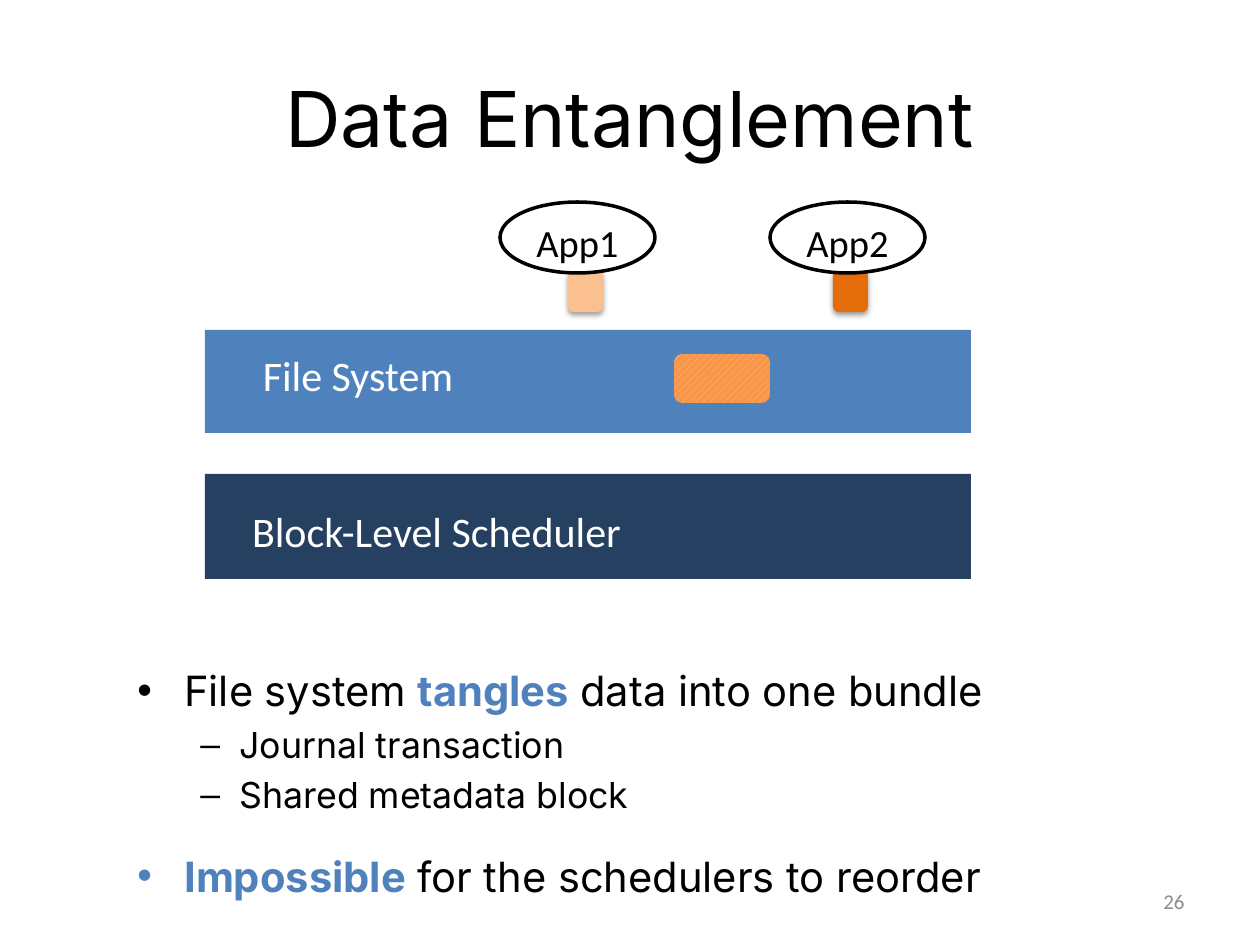
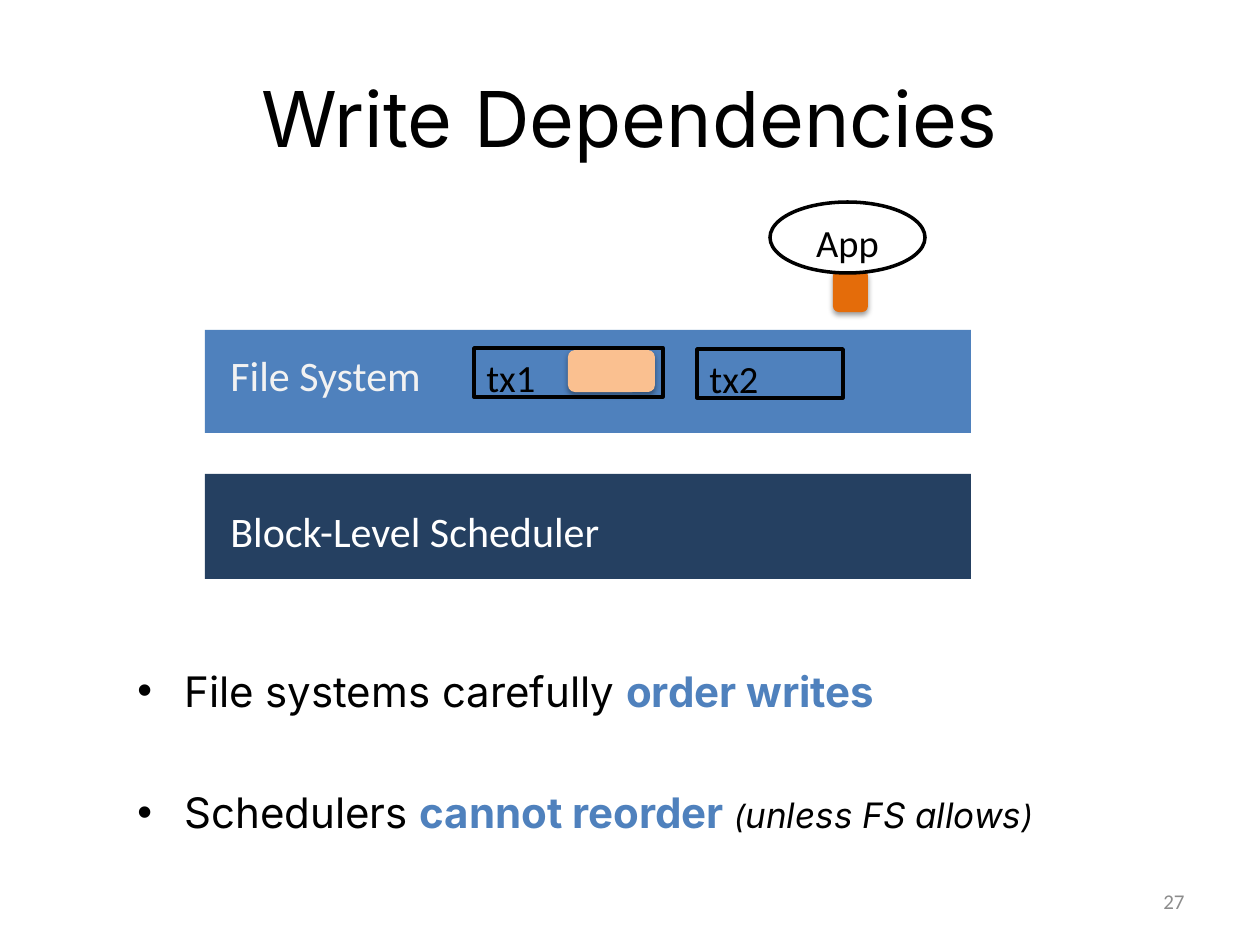
from lxml.etree import SubElement
from pptx import Presentation
from pptx.dml.color import RGBColor
from pptx.enum.dml import MSO_PATTERN
from pptx.enum.shapes import MSO_SHAPE
from pptx.enum.text import MSO_ANCHOR, PP_ALIGN
from pptx.oxml.ns import qn
from pptx.util import Emu, Pt

COLOURS = {
    "black": "000000", "white": "FFFFFF", "pale": "F2F2F2", "grey": "8C8C8C",
    "blue": "4F81BD", "navy": "254061", "orange": "E46C0A",
    "peach": "FAC090", "amber": "F79646",
}
LEFT, CENTER, RIGHT = PP_ALIGN.LEFT, PP_ALIGN.CENTER, PP_ALIGN.RIGHT

# Text styles: font attributes, plus a colour name
STYLES = {
    "title": {"name": "Inter", "size": Pt(44), "color": "black"},
    "layer": {"name": "Calibri", "size": Pt(24), "color": "white"},
    "layer_pale": {"name": "Calibri", "size": Pt(24), "color": "pale"},
    "node": {"name": "Calibri", "size": Pt(22), "color": "black"},
    "number": {"name": "Calibri", "size": Pt(12), "color": "grey"},
    "plain": {"name": "Inter", "bold": False, "color": "black"},
    "strong": {"name": "Inter", "bold": True, "color": "blue"},
    "aside": {"name": "Inter", "italic": True, "color": "black"},
}
# Bullet levels: mark, text margin and hanging indent in pixels
LEVELS = [("\u2022", 47, 47), ("\u2013", 102, 39)]

# Boxes in pixels: left, top, width, height
TITLE = (63, 38, 1134, 157)
NUMBER = (903, 876, 294, 50)
BODY = (125, 659, 1072, 229)
FILE_SYSTEM = (205, 330, 766, 103)
FILE_LABEL = (218, 343, 280, 63)
SCHEDULER = (205, 474, 766, 105)
APP_TOP, APP_SIZE = 202, (155, 71)
APP_LEFTS = (500, 770)

# A bullet is (level, space after in points, [(text, style, size)])
SLIDES = [
    {
        "title": "Data Entanglement", "number": "26",
        "label_align": CENTER, "label_style": "layer", "scheduler_width": 437,
        "apps": [("App1", APP_LEFTS[0]), ("App2", APP_LEFTS[1])],
        "blocks": [((833, 270, 35, 42), "orange"), ((568, 270, 35, 42), "peach")],
        "bundles": [(674, 354, 96, 49)],
        "transactions": [],
        "bullets": [
            (0, 0, [("File system ", "plain", 23.8), ("tangles", "strong", 23.8),
                    (" data into one bundle", "plain", 23.8)]),
            (1, 0, [("Journal transaction", "plain", 20.4)]),
            (1, 15.5, [("Shared metadata block", "plain", 20.4)]),
            (0, 0, [("Impossible", "strong", 23.8),
                    (" for the schedulers to reorder", "plain", 23.8)]),
        ],
    },
    {
        "title": "Write Dependencies", "number": "27",
        "label_align": LEFT, "label_style": "layer_pale", "scheduler_width": 415,
        "apps": [("App", APP_LEFTS[1])],
        "blocks": [((833, 270, 35, 42), "orange"), ((568, 350, 87, 42), "peach")],
        "bundles": [],
        "transactions": [("tx1", (474, 348, 189, 49)), ("tx2", (697, 349, 146, 49))],
        "bullets": [
            (0, 36, [("File systems carefully ", "plain", 24),
                     ("order writes", "strong", 24)]),
            (0, 0, [("Schedulers ", "plain", 24), ("cannot reorder ", "strong", 24),
                    ("(", "aside", 18), ("unless FS allows", "aside", 20),
                    (")", "aside", 18)]),
        ],
    },
]


def px(count):
    """Turn pixels into EMU."""
    return Emu(round(count * 914400 / 126))


def rgb(name):
    """Look up a named colour."""
    return RGBColor.from_string(COLOURS[name])


def add_span(para, text, style, size=None):
    """Add a run in a named style."""
    span = para.add_run()
    span.text = text
    formats = dict(STYLES[style])
    span.font.color.rgb = rgb(formats.pop("color"))
    if size:
        formats["size"] = Pt(size)
    for name, value in formats.items():
        setattr(span.font, name, value)


def write(box, text, style, align=LEFT, anchor=MSO_ANCHOR.TOP, **margins):
    """Put one line of text into a box."""
    frame = box.text_frame
    formats = {"word_wrap": True, "vertical_anchor": anchor, **margins}
    for name, value in formats.items():
        setattr(frame, name, value)
    frame.paragraphs[0].alignment = align
    add_span(frame.paragraphs[0], text, style)


def add_text(page, place, text, style, align=LEFT, anchor=MSO_ANCHOR.TOP, **margins):
    """Add a text box with one line."""
    box = page.shapes.add_textbox(*map(px, place))
    write(box, text, style, align, anchor, **margins)


def add_box(page, kind, place, fill=None, line=None):
    """Add a flat preset shape, with an outline if a line colour is given."""
    box = page.shapes.add_shape(kind, *map(px, place))
    box.shadow.inherit = False
    if fill:
        box.fill.solid()
        box.fill.fore_color.rgb = rgb(fill)
    else:
        box.fill.background()
    if line:
        box.line.color.rgb = rgb(line)
        box.line.width = Pt(2)
    else:
        box.line.fill.background()
    return box


def add_block(page, place, fill):
    """Add a rounded data block with a soft shadow below it."""
    block = add_box(page, MSO_SHAPE.ROUNDED_RECTANGLE, place, fill)
    effects = block._element.spPr.find(qn("a:effectLst"))
    shadow = SubElement(effects, qn("a:outerShdw"), blurRad="40000",
                        dist="20000", dir="5400000", rotWithShape="0")
    tint = SubElement(shadow, qn("a:srgbClr"), val=COLOURS["black"])
    SubElement(tint, qn("a:alpha"), val="38000")


def add_bundle(page, place):
    """Add a hatched block of tangled data."""
    bundle = add_box(page, MSO_SHAPE.ROUNDED_RECTANGLE, place)
    bundle.fill.patterned()
    bundle.fill.pattern = MSO_PATTERN.WIDE_UPWARD_DIAGONAL
    bundle.fill.fore_color.rgb = rgb("peach")
    bundle.fill.back_color.rgb = rgb("amber")


def add_bullets(page, bullets):
    """Add the bulleted text under the diagram."""
    frame = page.shapes.add_textbox(*map(px, BODY)).text_frame
    frame.word_wrap = True
    for index, (level, after, spans) in enumerate(bullets):
        para = frame.add_paragraph() if index else frame.paragraphs[0]
        mark, margin, hang = LEVELS[level]
        formats = {"level": level, "space_after": Pt(after),
                   "space_before": Pt(0.2 * spans[0][2])}
        for name, value in formats.items():
            setattr(para, name, value)
        props = para._p.get_or_add_pPr()
        props.set("marL", str(px(margin)))
        props.set("indent", str(-px(hang)))
        SubElement(props, qn("a:buFont"), typeface="Arial")
        SubElement(props, qn("a:buChar"), char=mark)
        for span in spans:
            add_span(para, *span)


def add_layers(page, slide):
    """Add the file system and scheduler bars with their labels."""
    align = slide["label_align"]
    add_box(page, MSO_SHAPE.RECTANGLE, FILE_SYSTEM, "blue")
    label = add_box(page, MSO_SHAPE.RECTANGLE, FILE_LABEL, "blue")
    write(label, "File System", slide["label_style"], align)
    add_box(page, MSO_SHAPE.RECTANGLE, SCHEDULER, "navy")
    add_text(page, (218, 499, slide["scheduler_width"], 63),
             "Block-Level Scheduler", "layer", align)


def build_page(deck, slide):
    """Build one slide, from back to front."""
    page = deck.slides.add_slide(deck.slide_layouts[6])
    add_layers(page, slide)
    add_text(page, TITLE, slide["title"], "title", CENTER, MSO_ANCHOR.MIDDLE)
    add_text(page, NUMBER, slide["number"], "number", RIGHT, MSO_ANCHOR.MIDDLE)
    add_bullets(page, slide["bullets"])
    for place, fill in slide["blocks"]:
        add_block(page, place, fill)
    for place in slide["bundles"]:
        add_bundle(page, place)
    for name, left in slide["apps"]:
        app = add_box(page, MSO_SHAPE.OVAL, (left, APP_TOP, *APP_SIZE), "white", "black")
        write(app, name, "node", CENTER, margin_left=0, margin_right=0)
    for name, place in slide["transactions"]:
        add_box(page, MSO_SHAPE.RECTANGLE, place, line="black")
        add_text(page, (*place[:2], 83, 59), name, "node", margin_right=0)


deck = Presentation()
deck.slide_width, deck.slide_height = px(1260), px(945)
for slide in SLIDES:
    build_page(deck, slide)
deck.save("out.pptx")
